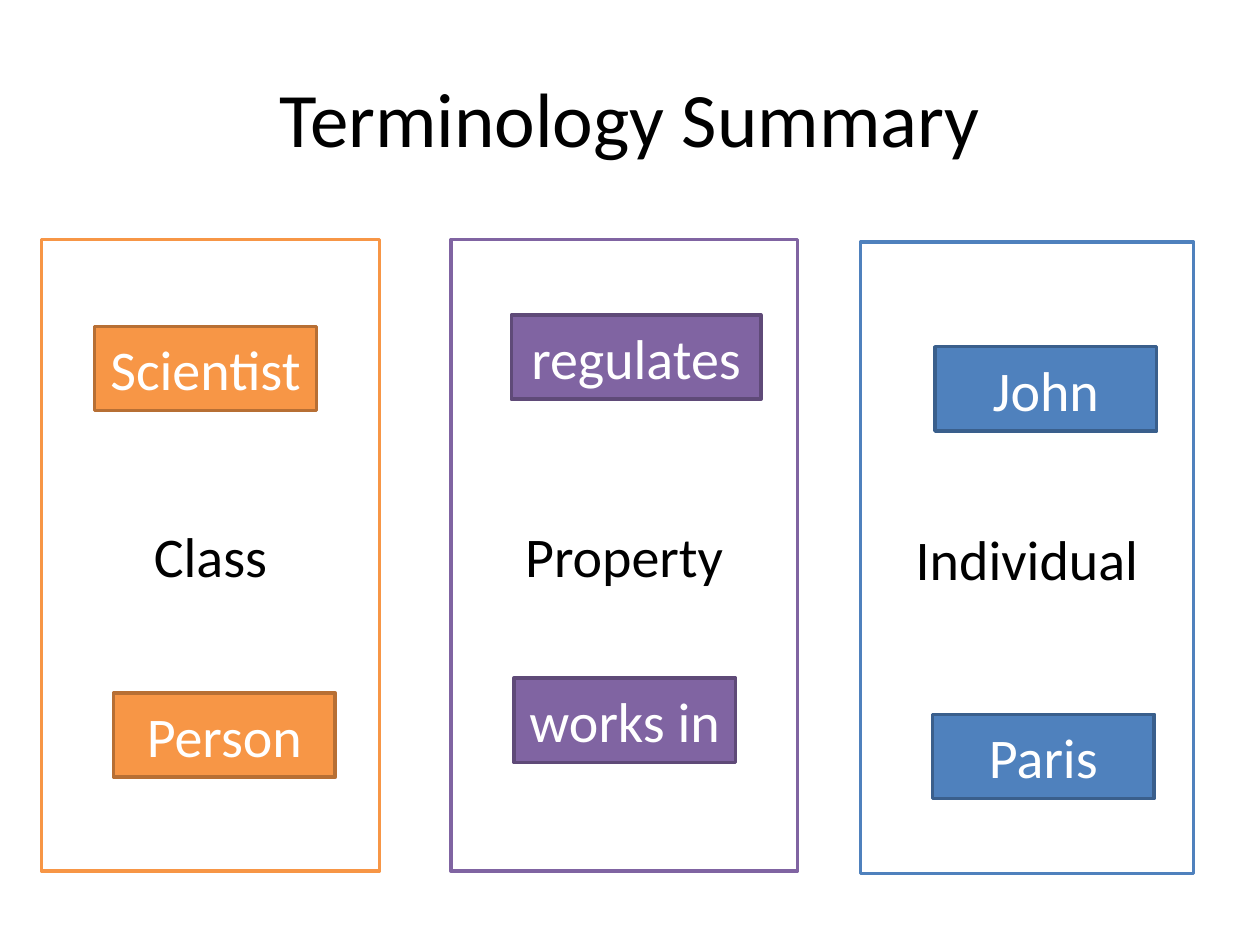
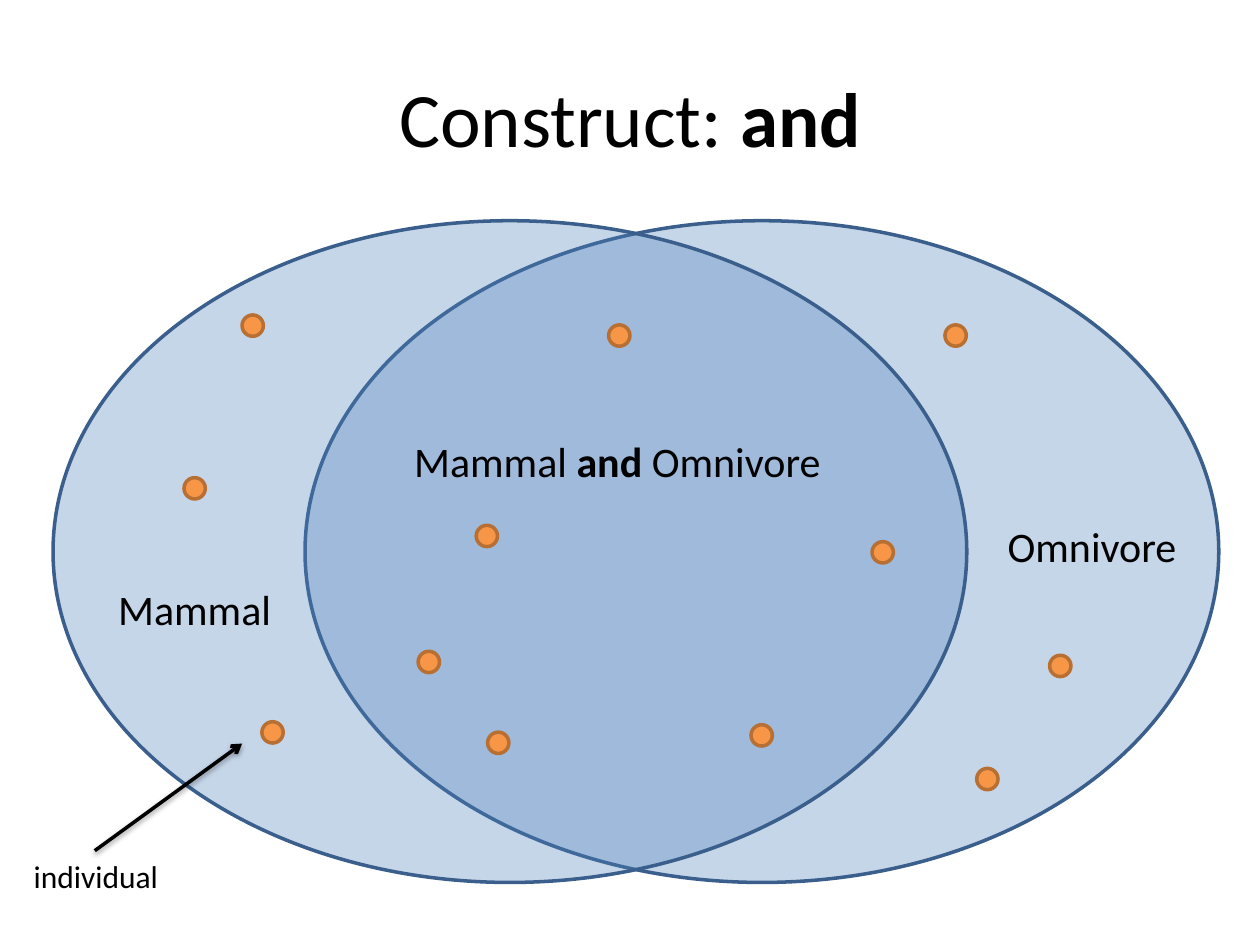
import lxml.etree
import pptx
import pptx.dml.color
import pptx.enum.shapes
import pptx.enum.text
import pptx.oxml.ns
import pptx.util

Cm = pptx.util.Cm
SHAPES = pptx.enum.shapes.MSO_SHAPE
ALIGN = pptx.enum.text.PP_ALIGN
ANCHOR = pptx.enum.text.MSO_ANCHOR

BLACK, WHITE = "000000", "FFFFFF"
ORANGE, DARK_ORANGE = "F79646", "B76F34"
PURPLE, DARK_PURPLE = "8064A2", "5F4A78"
BLUE, DARK_BLUE = "4F81BD", "3A5F8C"


def color(hex_value):
    return pptx.dml.color.RGBColor.from_string(hex_value)


def add_xml(parent, tag, **attributes):
    return lxml.etree.SubElement(parent, pptx.oxml.ns.qn(tag), attributes)


def write_text(frame, *spans, size=24, ink=BLACK, align=ALIGN.CENTER, anchor=ANCHOR.TOP):
    """Write one paragraph; a span is a string, or a one-item tuple for bold."""
    frame.word_wrap = True
    frame.vertical_anchor = anchor
    para = frame.paragraphs[0]
    para.alignment = align
    for content in spans:
        bold = isinstance(content, tuple)
        span = para.add_run()
        span.text = content[0] if bold else content
        span.font.name = "Calibri"
        span.font.size = pptx.util.Pt(size)
        span.font.bold = bold
        span.font.color.rgb = color(ink)


class DeckBuilder:
    line_width = pptx.util.Pt(2)

    def __init__(self):
        self.deck = pptx.Presentation()
        self.deck.slide_width = Cm(25.4)
        self.deck.slide_height = Cm(19.05)
        self.page = None

    def add_page(self, *title):
        self.page = self.deck.slides.add_slide(self.deck.slide_layouts[6])
        self.label(1.27, 0.76, 22.86, 3.18, *title, size=44, anchor=ANCHOR.MIDDLE)

    def label(self, left, top, width, height, *spans, **text_format):
        box = self.page.shapes.add_textbox(Cm(left), Cm(top), Cm(width), Cm(height))
        write_text(box.text_frame, *spans, **text_format)

    def shape(self, kind, left, top, width, height, fill, line, opacity=None):
        shape = self.page.shapes.add_shape(kind, Cm(left), Cm(top), Cm(width), Cm(height))
        shape.shadow.inherit = False
        shape.fill.solid()
        shape.fill.fore_color.rgb = color(fill)
        shape.line.color.rgb = color(line)
        shape.line.width = self.line_width
        if opacity is not None:
            fill_color = shape.fill._xPr.find(".//" + pptx.oxml.ns.qn("a:srgbClr"))
            add_xml(fill_color, "a:alpha", val=str(opacity * 1000))
        return shape

    def text_rectangle(self, left, top, width, height, text, fill, line, ink):
        box = self.shape(SHAPES.RECTANGLE, left, top, width, height, fill, line)
        write_text(box.text_frame, text, size=32, ink=ink, anchor=ANCHOR.MIDDLE)

    def arrow(self, start_x, start_y, end_x, end_y):
        arrow = self.page.shapes.add_connector(
            pptx.enum.shapes.MSO_CONNECTOR.STRAIGHT,
            Cm(start_x), Cm(start_y), Cm(end_x), Cm(end_y))
        arrow.line.color.rgb = color(BLACK)
        arrow.line.width = self.line_width
        add_xml(arrow.line._get_or_add_ln(), "a:tailEnd", type="arrow")
        # Soft shadow straight below the line
        effects = add_xml(arrow._element.spPr, "a:effectLst")
        shadow = add_xml(effects, "a:outerShdw", blurRad="40000", dist="20000",
                         dir="5400000", rotWithShape="0")
        shadow_color = add_xml(shadow, "a:srgbClr", val=BLACK)
        add_xml(shadow_color, "a:alpha", val="38000")


def build_terminology(builder):
    builder.add_page("Terminology Summary")
    tag_width, tag_height, panel_height = 4.47, 1.7, 12.73
    # Term, panel left, top and width, colours, then tags: text, left, top, width
    columns = [
        ("Individual", 17.35, 4.88, 6.71, BLUE, DARK_BLUE,
         [("John", 18.85, 6.99, tag_width), ("Paris", 18.8, 14.4, tag_width)]),
        ("Property", 9.09, 4.83, 6.99, PURPLE, DARK_PURPLE,
         [("regulates", 10.31, 6.35, 5.03), ("works in", 10.36, 13.67, tag_width)]),
        ("Class", 0.84, 4.83, 6.81, ORANGE, DARK_ORANGE,
         [("Scientist", 1.91, 6.58, tag_width), ("Person", 2.29, 13.97, tag_width)]),
    ]
    for term, left, top, width, main, dark, tags in columns:
        builder.text_rectangle(left, top, width, panel_height, term, WHITE, main, BLACK)
        for text, tag_left, tag_top, span_width in tags:
            builder.text_rectangle(tag_left, tag_top, span_width, tag_height,
                                   text, main, dark, WHITE)


def build_intersection(builder):
    builder.add_page("Construct: ", ("and",))

    # Overlapping sets and their names
    for left in (6.15, 1.07):
        builder.shape(SHAPES.OVAL, left, 4.45, 18.42, 13.34, BLUE, DARK_BLUE, opacity=32)
    builder.label(1.7, 11.63, 4.45, 1.27, "Mammal")
    builder.label(19.69, 10.36, 4.65, 1.27, "Omnivore")
    builder.label(8.1, 8.66, 10.11, 1.27, "Mammal ", ("and ",), "Omnivore", align=ALIGN.LEFT)

    # Individuals
    individuals = [
        (4.88, 6.35), (3.71, 9.63), (5.28, 14.55), (8.43, 13.13),
        (12.27, 6.55), (19.05, 6.55), (21.16, 13.21), (17.58, 10.92),
        (9.83, 14.76), (19.69, 15.49), (15.14, 14.61), (9.6, 10.59),
    ]
    for left, top in individuals:
        builder.shape(SHAPES.OVAL, left, top, 0.43, 0.43, ORANGE, DARK_ORANGE)

    # Pointer to one individual
    builder.arrow(1.91, 17.15, 4.88, 14.99)
    builder.label(0.43, 17.15, 3.28, 1.02, "individual", size=18, align=ALIGN.LEFT)


def main():
    builder = DeckBuilder()
    build_terminology(builder)
    build_intersection(builder)
    builder.deck.save("out.pptx")


if __name__ == "__main__":
    main()
